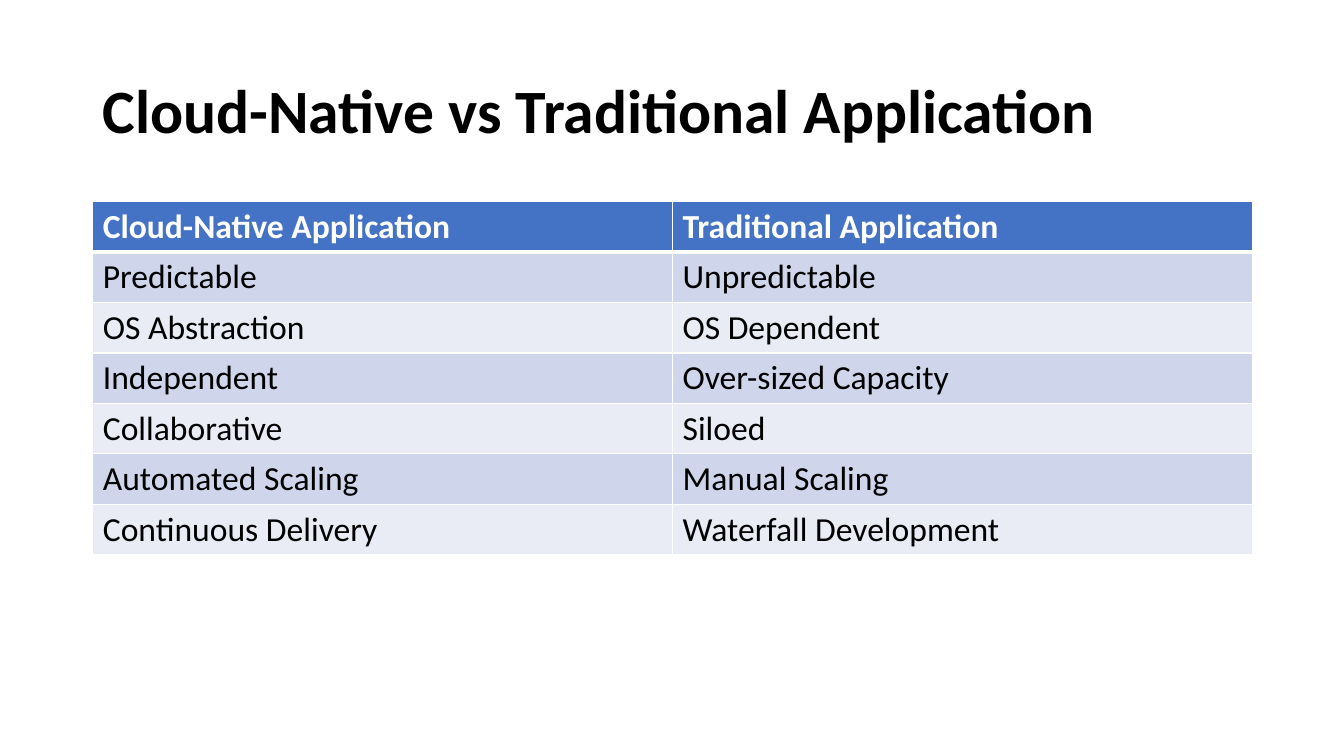
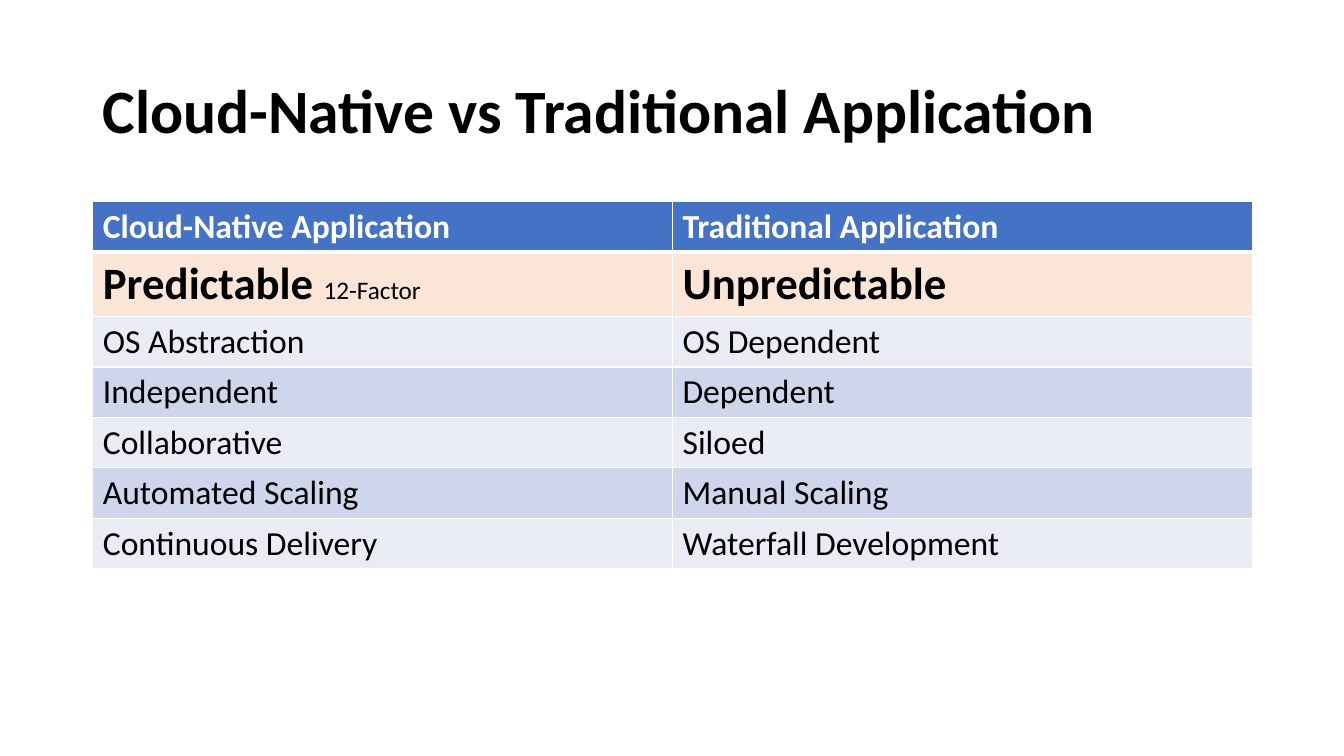
import pptx
import pptx.dml.color
import pptx.enum.text
import pptx.oxml
import pptx.oxml.ns
import pptx.util
from dataclasses import dataclass

SLIDE_W, SLIDE_H = pptx.util.Inches(13.33), pptx.util.Inches(7.5)


@dataclass(frozen=True)
class Theme:
    font: str = "Calibri"
    text: str = "000000"
    white: str = "FFFFFF"
    header: str = "4472C4"
    bands: tuple = ("CFD5EA", "E9EBF5")
    highlight: str = "FBE5D6"
    title_pt: int = 44
    body_pt: int = 24
    focus_pt: int = 32
    note_pt: int = 18
    rule_pt: int = 1
    header_rule_pt: int = 3


THEME = Theme()

# Boxes in inches: left, top, width, height
TITLE_BOX = (0.92, 0.4, 11.5, 1.45)
TABLE_BOX = (0.92, 2, 11.5, 3.5)
FOCUS_ROW_H = 0.64

TITLE = "Cloud-Native vs Traditional Application"
HEADER = ("Cloud-Native Application", "Traditional Application")


def comparison(independent_rival):
    return [
        HEADER,
        ("Predictable", "Unpredictable"),
        ("OS Abstraction", "OS Dependent"),
        ("Independent", independent_rival),
        ("Collaborative", "Siloed"),
        ("Automated Scaling", "Manual Scaling"),
        ("Continuous Delivery", "Waterfall Development"),
    ]


def rgb(color):
    return pptx.dml.color.RGBColor.from_string(color)


def style_font(font, size, color, bold=False):
    font.name, font.size, font.bold = THEME.font, pptx.util.Pt(size), bold
    font.color.rgb = rgb(color)


def set_borders(cell, top, bottom):
    """Draw white rules on all four sides, with widths in points."""
    tc_pr = cell._tc.get_or_add_tcPr()
    sides = (("L", THEME.rule_pt), ("R", THEME.rule_pt), ("T", top), ("B", bottom))
    for i, (side, width) in enumerate(sides):
        tc_pr.insert(i, pptx.oxml.parse_xml(
            f'<a:ln{side} {pptx.oxml.ns.nsdecls("a")} w="{pptx.util.Pt(width)}">'
            f'<a:solidFill><a:srgbClr val="{THEME.white}"/></a:solidFill></a:ln{side}>'))


def add_title(s, box, text):
    tf = s.shapes.add_textbox(*map(pptx.util.Inches, box)).text_frame
    tf.word_wrap = True
    tf.vertical_anchor = pptx.enum.text.MSO_ANCHOR.MIDDLE
    p = tf.paragraphs[0]
    p.text, p.line_spacing = text, 0.9
    style_font(p.font, THEME.title_pt, THEME.text, bold=True)


def add_comparison(s, box, rows, focus=None, note=None):
    """Fill a banded table; the focus row is enlarged and may carry a note."""
    left, top, width, height = map(pptx.util.Inches, box)
    table = s.shapes.add_table(len(rows), len(HEADER), left, top, width, height).table
    for i, row in enumerate(rows):
        is_header, is_focus = i == 0, i == focus
        if is_focus:
            table.rows[i].height = pptx.util.Inches(FOCUS_ROW_H)
        fill = (THEME.header if is_header else THEME.highlight if is_focus
                else THEME.bands[(i - 1) % 2])
        for j, text in enumerate(row):
            cell = table.cell(i, j)
            cell.fill.solid()
            cell.fill.fore_color.rgb = rgb(fill)
            set_borders(cell, THEME.header_rule_pt if i == 1 else THEME.rule_pt,
                        THEME.header_rule_pt if is_header else THEME.rule_pt)
            p = cell.text_frame.paragraphs[0]
            noted = is_focus and note and j == 0
            p.text = text + " " if noted else text
            style_font(p.font, THEME.focus_pt if is_focus else THEME.body_pt,
                       THEME.white if is_header else THEME.text,
                       bold=is_header or is_focus)
            if noted:
                # The note sits beside the word, smaller and lighter
                style_font(p.runs[0].font, THEME.focus_pt, THEME.text, bold=True)
                r = p.add_run()
                r.text = note
                style_font(r.font, THEME.note_pt, THEME.text)


def add_comparison_slide(prs, rows, **emphasis):
    s = prs.slides.add_slide(prs.slide_layouts[6])
    add_title(s, TITLE_BOX, TITLE)
    add_comparison(s, TABLE_BOX, rows, **emphasis)


def main():
    prs = pptx.Presentation()
    prs.slide_width, prs.slide_height = SLIDE_W, SLIDE_H
    add_comparison_slide(prs, comparison("Over-sized Capacity"))
    add_comparison_slide(prs, comparison("Dependent"), focus=1, note="12-Factor")
    prs.save("out.pptx")


if __name__ == "__main__":
    main()
